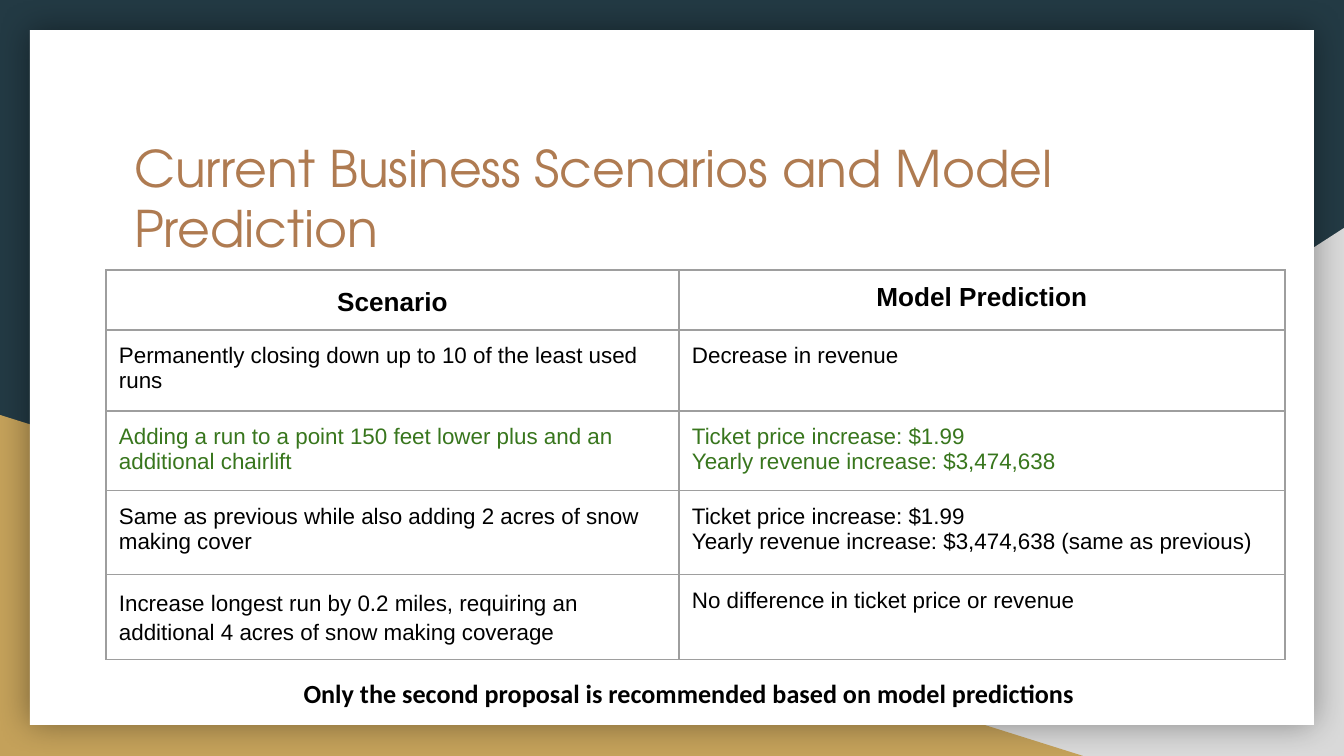
from lxml.etree import SubElement
from pptx import Presentation
from pptx.dml.color import RGBColor
from pptx.enum.shapes import MSO_SHAPE
from pptx.enum.text import MSO_ANCHOR, MSO_AUTO_SIZE, PP_ALIGN
from pptx.oxml import parse_xml
from pptx.oxml.ns import nsdecls, qn
from pptx.util import Pt

SCALE = 914400 / 134.4
COLORS = {
    "navy": "233A44", "gold": "C4A15A", "gray": "D9D9D9", "white": "FFFFFF",
    "title": "AF7B51", "text": "000000", "green": "38761D", "border": "9E9E9E",
}


def px(*lengths):
    return [round(length * SCALE) for length in lengths]


def style(paragraph, size, name, color, bold=False):
    font = paragraph.font
    font.size, font.name, font.bold = Pt(size), name, bold
    font.color.rgb = RGBColor.from_string(COLORS[color])


deck = Presentation()
deck.slide_width, deck.slide_height = px(1344, 756)
page = deck.slides.add_slide(deck.slide_layouts[5])
page.background.fill.solid()
page.background.fill.fore_color.rgb = RGBColor.from_string(COLORS["navy"])

backdrop = [
    (MSO_SHAPE.RIGHT_TRIANGLE, (527, 228, 817, 528), "gray"),
    (MSO_SHAPE.RIGHT_TRIANGLE, (0, 415, 1083, 341), "gold"),
    (MSO_SHAPE.RECTANGLE, (30, 30, 1284, 695), "white"),
]
pieces = []
for kind, place, color in backdrop:
    piece = page.shapes.add_shape(kind, *px(*place))
    piece.shadow.inherit = False
    piece.fill.solid()
    piece.fill.fore_color.rgb = RGBColor.from_string(COLORS[color])
    piece.line.fill.background()
    pieces.append(piece)
gray_corner, gold_corner, card = pieces
gray_corner._element.spPr.find(qn("a:xfrm")).set("flipH", "1")
card._element.spPr.find(qn("a:effectLst")).append(parse_xml(
    f'<a:outerShdw {nsdecls("a")} blurRad="{Pt(18)}" dist="0" dir="0" algn="ctr" rotWithShape="0">'
    f'<a:srgbClr val="{COLORS["text"]}"><a:alpha val="40000"/></a:srgbClr></a:outerShdw>'))

title = page.shapes.title
page.shapes._spTree.append(title._element)
title.left, title.top, title.width, title.height = px(121, 124, 1103, 140)
frame = title.text_frame
frame.text = "Current Business Scenarios and Model Prediction"
frame.word_wrap = True
frame.auto_size = MSO_AUTO_SIZE.NONE
frame.vertical_anchor = MSO_ANCHOR.TOP
frame.margin_left = frame.margin_right = frame.margin_top = frame.margin_bottom = px(13)[0]
frame.paragraphs[0].alignment = PP_ALIGN.LEFT
style(frame.paragraphs[0], 27, "TeX Gyre Adventor", "title")

rows = [
    ("Scenario", "Model Prediction"),
    ("Permanently closing down up to 10 of the least used runs", "Decrease in revenue"),
    ("Adding a run to a point 150 feet lower plus and an additional chairlift",
     "Ticket price increase: $1.99\nYearly revenue increase: $3,474,638"),
    ("Same as previous while also adding 2 acres of snow making cover",
     "Ticket price increase: $1.99\nYearly revenue increase: $3,474,638 (same as previous)"),
    ("Increase longest run by 0.2 miles, requiring an additional 4 acres of snow making coverage",
     "No difference in ticket price or revenue"),
]
widths = px(573, 606)
heights = px(60, 81, 80, 84, 85)
HEADER, RECOMMENDED, LAST = 0, 2, len(rows) - 1

table = page.shapes.add_table(len(rows), 2, *px(106, 270), sum(widths), sum(heights)).table
table.first_row = table.horz_banding = False
for column, width in zip(table.columns, widths):
    column.width = width
for row_number, (row, height) in enumerate(zip(rows, heights)):
    table.rows[row_number].height = height
    for column_number, text in enumerate(row):
        cell = table.cell(row_number, column_number)
        cell.text = text
        cell.margin_left = cell.margin_right = cell.margin_top = cell.margin_bottom = px(13)[0]
        properties = cell._tc.get_or_add_tcPr()
        for side in ("a:lnL", "a:lnR", "a:lnT", "a:lnB"):
            border = SubElement(properties, qn(side), w=str(Pt(0.75)))
            fill = SubElement(border, qn("a:solidFill"))
            SubElement(fill, qn("a:srgbClr"), val=COLORS["border"])
        cell.fill.background()
        for paragraph in cell.text_frame.paragraphs:
            if row_number == HEADER:
                paragraph.alignment = PP_ALIGN.CENTER
                style(paragraph, 14, "Arial", "text", bold=True)
            else:
                style(paragraph, 12, "Arial", "green" if row_number == RECOMMENDED else "text")
            if column_number == 0 and row_number in (HEADER, LAST):
                paragraph.line_spacing = 1.15
                paragraph.space_after = Pt(12)

conclusion = page.shapes.add_textbox(*px(160, 664, 1058, 59)).text_frame
conclusion.word_wrap = True
conclusion.auto_size = MSO_AUTO_SIZE.SHAPE_TO_FIT_TEXT
conclusion.margin_left = conclusion.margin_right = px(13)[0]
conclusion.margin_top = conclusion.margin_bottom = px(13)[0]
conclusion.text = "Only the second proposal is recommended based on model predictions"
conclusion.paragraphs[0].alignment = PP_ALIGN.CENTER
style(conclusion.paragraphs[0], 14, "Calibri", "text", bold=True)

deck.save("out.pptx")
